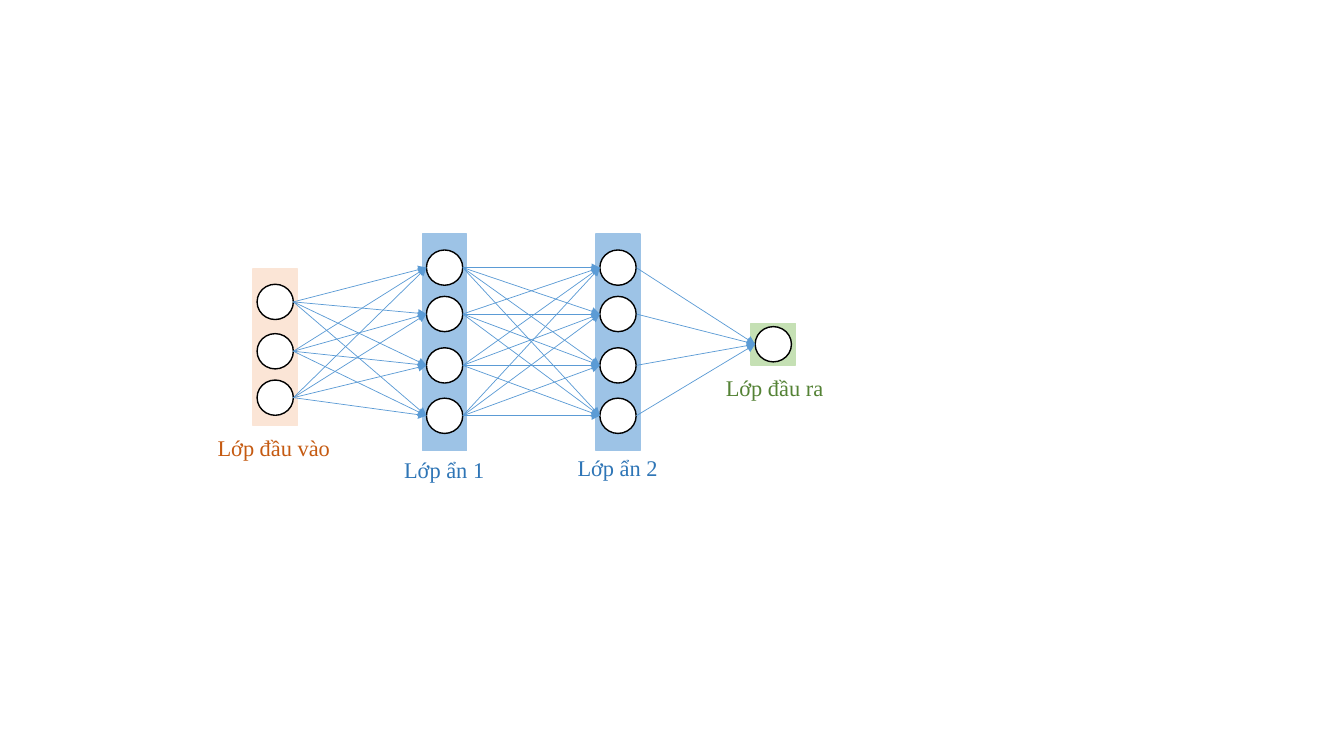
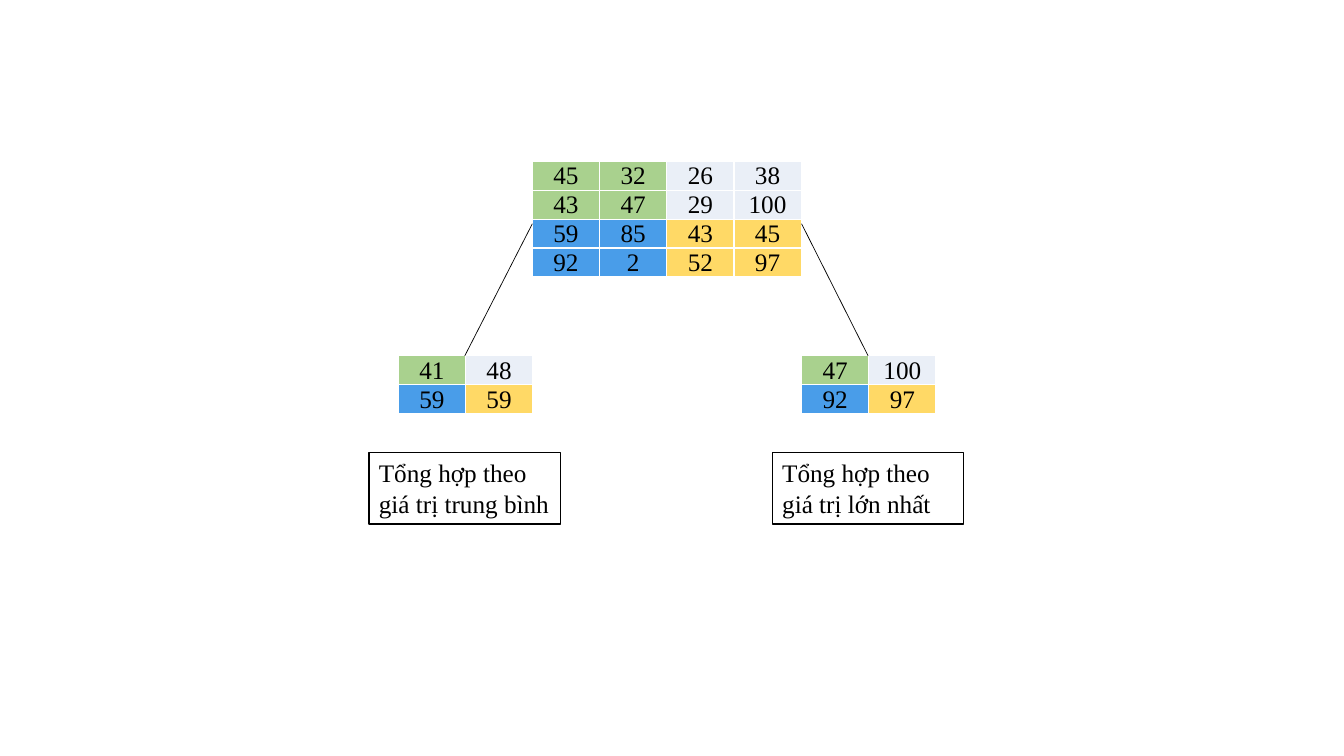
"""Build two slides: a layered neural network and a pooling example."""
from itertools import product

from lxml import etree
from pptx import Presentation
from pptx.dml.color import RGBColor
from pptx.enum.shapes import MSO_CONNECTOR, MSO_SHAPE
from pptx.enum.text import MSO_ANCHOR, PP_ALIGN
from pptx.oxml.ns import qn
from pptx.util import Inches, Pt

FONT = "Times New Roman"
COLORS = {
    "white": "FFFFFF", "black": "000000", "arrow": "5B9BD5",
    "peach": "FBE5D6", "sky": "9DC3E6", "mint": "C5E0B4",
    "rust": "C55A11", "navy": "2E75B6", "forest": "548235",
    "green": "A9D18E", "pale": "EAEFF7", "blue": "499DE9", "gold": "FFD966",
}

HIDDEN_TOPS = [2.48, 2.94, 3.45, 3.95]
LAYERS = [
    dict(left=2.51, top=2.67, height=1.55, nodes=[2.82, 3.31, 3.77], fill="peach",
         label="Lớp đầu vào", label_at=(2.06, 4.26, 1.33), color="rust"),
    dict(left=4.19, top=2.32, height=2.15, nodes=HIDDEN_TOPS, fill="sky",
         label="Lớp ẩn 1", label_at=(3.91, 4.48, 1.01), color="navy"),
    dict(left=5.91, top=2.32, height=2.15, nodes=HIDDEN_TOPS, fill="sky",
         label="Lớp ẩn 2", label_at=(5.63, 4.46, 1.01), color="navy"),
    dict(left=7.45, top=3.21, height=0.41, nodes=[3.24], fill="mint",
         label="Lớp đầu ra", label_at=(7.1, 3.66, 1.18), color="forest"),
]
BAND_W, NODE_W, NODE_H, LABEL_H = 0.44, 0.36, 0.35, 0.37
NODE_INSET = (BAND_W - NODE_W) / 2

MATRIX = [[45, 32, 26, 38], [43, 47, 29, 100], [59, 85, 43, 45], [92, 2, 52, 97]]
POOLED = [
    (3.95, [[41, 48], [59, 59]], "Tổng hợp theo giá trị trung bình"),
    (7.95, [[47, 100], [92, 97]], "Tổng hợp theo giá trị lớn nhất"),
]
QUADRANTS = [["green", "pale"], ["blue", "gold"]]
CELL_W, ROW_H, FRAME_ROW_H = 0.6667, 0.21, 0.31
MATRIX_AT, POOLED_TOP = (5.28, 1.6), 3.53
LINKS = [((5.28, 2.22), (4.61, POOLED_TOP)), ((7.95, 2.22), (8.61, POOLED_TOP))]


def rgb(name):
    return RGBColor.from_string(COLORS[name])


def style_text(p, text, size, color="black", align=PP_ALIGN.LEFT):
    p.text = text
    p.alignment = align
    p.font.name, p.font.size = FONT, Pt(size)
    p.font.color.rgb = rgb(color)


def add_box(s, kind, left, top, width, height, fill, line):
    sp = s.shapes.add_shape(kind, *map(Inches, (left, top, width, height)))
    sp.shadow.inherit = False
    sp.fill.solid()
    sp.fill.fore_color.rgb = rgb(fill)
    sp.line.color.rgb = rgb(line)
    sp.line.width = Pt(1)
    return sp


def add_line(s, start, end, color, arrow=False):
    cx = s.shapes.add_connector(MSO_CONNECTOR.STRAIGHT, *map(Inches, start + end))
    cx.line.color.rgb = rgb(color)
    cx.line.width = Pt(0.5)
    sp_pr = cx.line._get_or_add_ln().getparent()
    if arrow:
        etree.SubElement(cx.line._get_or_add_ln(), qn("a:tailEnd"), type="triangle")
    etree.SubElement(sp_pr, qn("a:effectLst"))


def add_label(s, text, left, top, width, color):
    tf = s.shapes.add_textbox(*map(Inches, (left, top, width, LABEL_H))).text_frame
    tf.word_wrap = False
    style_text(tf.paragraphs[0], text, 16, color)


def add_grid(s, values, left, top):
    n = len(values)
    frame = s.shapes.add_table(n, n, *map(Inches, (left, top, n * CELL_W, n * ROW_H)))
    table = frame.table
    table.first_row = table.horz_banding = False
    for i, j in product(range(n), repeat=2):
        cell = table.cell(i, j)
        cell.fill.solid()
        cell.fill.fore_color.rgb = rgb(QUADRANTS[2 * i // n][2 * j // n])
        cell.margin_left = cell.margin_right = cell.margin_top = Inches(0.01)
        cell.margin_bottom = 0
        cell.vertical_anchor = MSO_ANCHOR.MIDDLE
        style_text(cell.text_frame.paragraphs[0], str(values[i][j]), 18,
                   align=PP_ALIGN.CENTER)
    frame.height = Inches(n * FRAME_ROW_H)


def build_network(s):
    for layer in LAYERS:
        left = layer["left"]
        add_box(s, MSO_SHAPE.RECTANGLE, left, layer["top"], BAND_W, layer["height"],
                layer["fill"], layer["fill"])
        for top in layer["nodes"]:
            add_box(s, MSO_SHAPE.FLOWCHART_CONNECTOR, left + NODE_INSET, top,
                    NODE_W, NODE_H, "white", "black")
    for source, target in zip(LAYERS, LAYERS[1:]):
        x1 = source["left"] + NODE_INSET + NODE_W
        x2 = target["left"] + NODE_INSET
        for y1, y2 in product(source["nodes"], target["nodes"]):
            add_line(s, (x1, y1 + NODE_H / 2), (x2, y2 + NODE_H / 2), "arrow", True)
    for layer in LAYERS:
        add_label(s, layer["label"], *layer["label_at"], layer["color"])


def build_pooling(s):
    add_grid(s, MATRIX, *MATRIX_AT)
    for left, values, _ in POOLED:
        add_grid(s, values, left, POOLED_TOP)
    for start, end in LINKS:
        add_line(s, start, end, "black")
    for left, _, caption in POOLED:
        sp = add_box(s, MSO_SHAPE.RECTANGLE, left - 0.29, 4.49, 1.9, 0.71,
                     "white", "black")
        tf = sp.text_frame
        tf.word_wrap = True
        tf.vertical_anchor = MSO_ANCHOR.TOP
        style_text(tf.paragraphs[0], caption, 18)


prs = Presentation()
prs.slide_width, prs.slide_height = Inches(13.33), Inches(7.5)
for build in (build_network, build_pooling):
    build(prs.slides.add_slide(prs.slide_layouts[6]))
prs.save("out.pptx")
